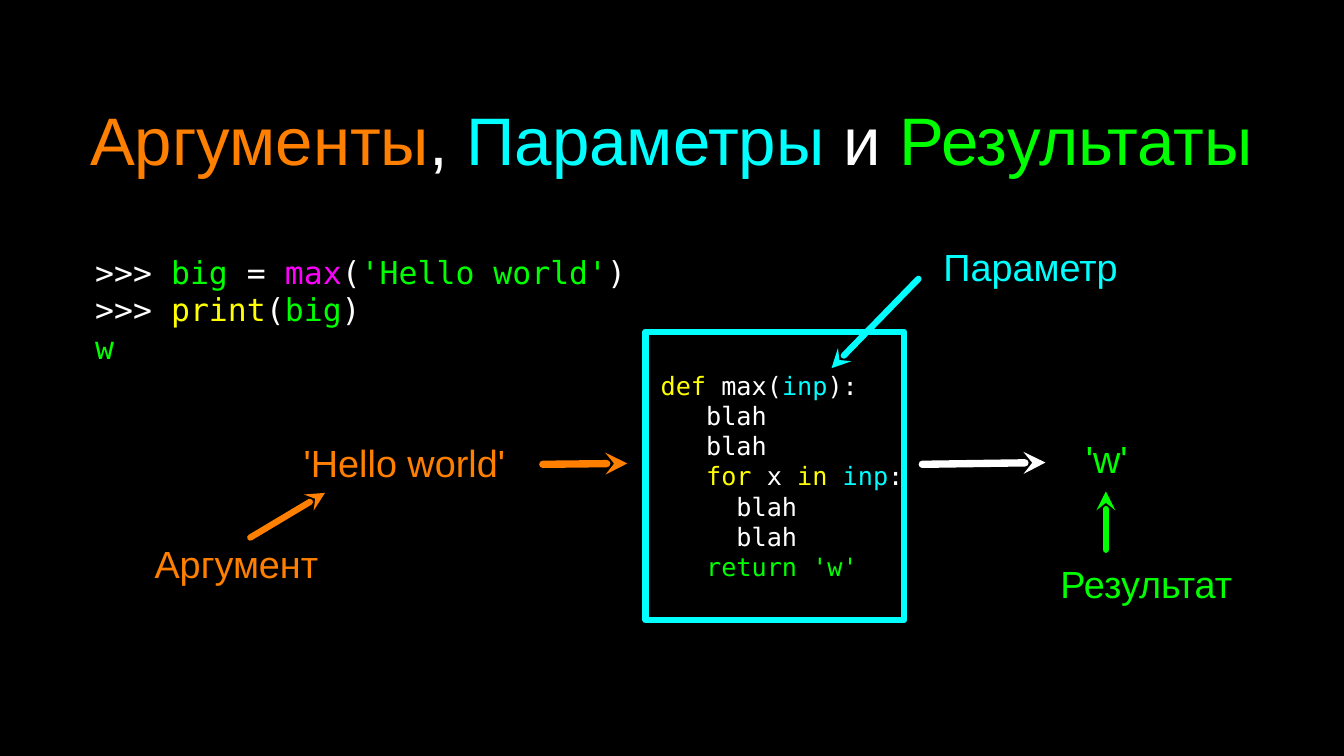
from typing import NamedTuple

from pptx import Presentation
from pptx.dml.color import RGBColor
from pptx.enum.shapes import MSO_CONNECTOR, MSO_SHAPE
from pptx.enum.text import MSO_ANCHOR, PP_ALIGN
from pptx.oxml.ns import qn
from pptx.util import Cm, Pt
from lxml import etree

STRAIGHT = MSO_CONNECTOR.STRAIGHT
RECTANGLE = MSO_SHAPE.RECTANGLE
MIDDLE = MSO_ANCHOR.MIDDLE
LEFT, CENTER = PP_ALIGN.LEFT, PP_ALIGN.CENTER

BLACK = RGBColor(0x00, 0x00, 0x00)
WHITE = RGBColor(0xFF, 0xFF, 0xFF)
ORANGE = RGBColor(0xFF, 0x7F, 0x00)
CYAN = RGBColor(0x00, 0xFF, 0xFF)
AQUA = RGBColor(0x00, 0xFD, 0xFF)
GREEN = RGBColor(0x00, 0xFF, 0x00)
YELLOW = RGBColor(0xFF, 0xFF, 0x00)
MAGENTA = RGBColor(0xFF, 0x00, 0xFF)

SANS, MONO = "Arial", "DejaVu Sans Mono"
LABEL_HEIGHT = 1.73


class Span(NamedTuple):
    text: str
    color: RGBColor = WHITE


class Style(NamedTuple):
    font: str
    size: int
    align: PP_ALIGN


class Box(NamedTuple):
    left: float
    top: float
    width: float
    height: float


class Label(NamedTuple):
    text: str
    color: RGBColor
    left: float
    top: float
    width: float


class Arrow(NamedTuple):
    start: tuple[float, float]
    end: tuple[float, float]
    color: RGBColor
    weight: int


TITLE_STYLE = Style(SANS, 64, CENTER)
LABEL_STYLE = Style(SANS, 36, CENTER)
SESSION_STYLE = Style(MONO, 30, LEFT)
FUNCTION_STYLE = Style(MONO, 24, LEFT)

TITLE = [[
    Span("Аргументы", ORANGE), Span(", "), Span("Параметры ", CYAN),
    Span("и "), Span("Результаты", GREEN),
]]
SESSION = [
    [Span(">>> "), Span("big", GREEN), Span(" = "), Span("max", MAGENTA),
     Span("("), Span("'Hello world'", GREEN), Span(")")],
    [Span(">>> "), Span("print", YELLOW), Span("("), Span("big", GREEN), Span(")")],
    [Span("w", GREEN)],
]
OUTER_BLAH = [Span("    blah")]
INNER_BLAH = [Span("      blah")]
FUNCTION = [
    [Span(" def", YELLOW), Span(" max("), Span("inp", CYAN), Span("):")],
    OUTER_BLAH,
    OUTER_BLAH,
    [Span("    "), Span("for", YELLOW), Span(" x "), Span("in ", YELLOW),
     Span("inp", AQUA), Span(":")],
    INNER_BLAH,
    INNER_BLAH,
    [Span("    "), Span("return 'w'", GREEN)],
]
LABELS = [
    Label("'Hello world'", ORANGE, 9.63, 14.68, 7.92),
    Label("'w'", GREEN, 36.3, 14.53, 1.78),
    Label("Аргумент", ORANGE, 4.72, 18.06, 6.45),
    Label("Параметр", CYAN, 31.19, 8.08, 6.88),
    Label("Результат", GREEN, 35.13, 18.75, 6.78),
]
ARROWS = [
    Arrow((18.24, 15.6), (21.08, 15.57), ORANGE, 7),
    Arrow((30.99, 15.6), (35.13, 15.54), WHITE, 7),
    Arrow((8.41, 18.06), (10.92, 16.56), ORANGE, 6),
    Arrow((30.86, 9.37), (27.94, 12.37), CYAN, 6),
    Arrow((37.16, 18.47), (37.16, 16.51), GREEN, 6),
]


def write(tf, lines: list[list[Span]], style: Style) -> None:
    tf.word_wrap = True
    tf.vertical_anchor = MIDDLE
    tf.margin_left = tf.margin_right = tf.margin_top = tf.margin_bottom = 0
    for i, line in enumerate(lines):
        p = tf.paragraphs[0] if i == 0 else tf.add_paragraph()
        p.alignment = style.align
        for span in line:
            r = p.add_run()
            r.text = span.text
            r.font.name = style.font
            r.font.size = Pt(style.size)
            r.font.color.rgb = span.color


def set_line(shape, color: RGBColor, weight: int):
    shape.line.color.rgb = color
    shape.line.width = Pt(weight)
    ln = shape.line._get_or_add_ln()
    ln.set("cap", "rnd")
    etree.SubElement(ln, qn("a:round"))
    return ln


def add_text(s, box: Box, lines: list[list[Span]], style: Style) -> None:
    write(s.shapes.add_textbox(*map(Cm, box)).text_frame, lines, style)


def add_function_box(s, box: Box) -> None:
    sp = s.shapes.add_shape(RECTANGLE, *map(Cm, box))
    sp.shadow.inherit = False
    sp.fill.background()
    set_line(sp, CYAN, 6)
    write(sp.text_frame, FUNCTION, FUNCTION_STYLE)


def add_arrow(s, arrow: Arrow) -> None:
    line = s.shapes.add_connector(STRAIGHT, *map(Cm, arrow.start + arrow.end))
    ln = set_line(line, arrow.color, arrow.weight)
    etree.SubElement(ln, qn("a:tailEnd"), type="stealth")
    etree.SubElement(line._element.spPr, qn("a:effectLst"))


def main() -> None:
    """Build the slide on arguments, parameters and results."""
    prs = Presentation()
    prs.slide_width, prs.slide_height = Cm(45.16), Cm(25.4)
    s = prs.slides.add_slide(prs.slide_layouts[6])
    s.background.fill.solid()
    s.background.fill.fore_color.rgb = BLACK

    add_text(s, Box(2.13, 2.24, 40.87, 4.83), TITLE, TITLE_STYLE)
    add_text(s, Box(3.2, 8.08, 20.98, 4.62), SESSION, SESSION_STYLE)
    add_function_box(s, Box(21.69, 11.15, 8.69, 9.68))
    for label in LABELS:
        box = Box(label.left, label.top, label.width, LABEL_HEIGHT)
        add_text(s, box, [[Span(label.text, label.color)]], LABEL_STYLE)
    for arrow in ARROWS:
        add_arrow(s, arrow)
    prs.save("out.pptx")


if __name__ == "__main__":
    main()
